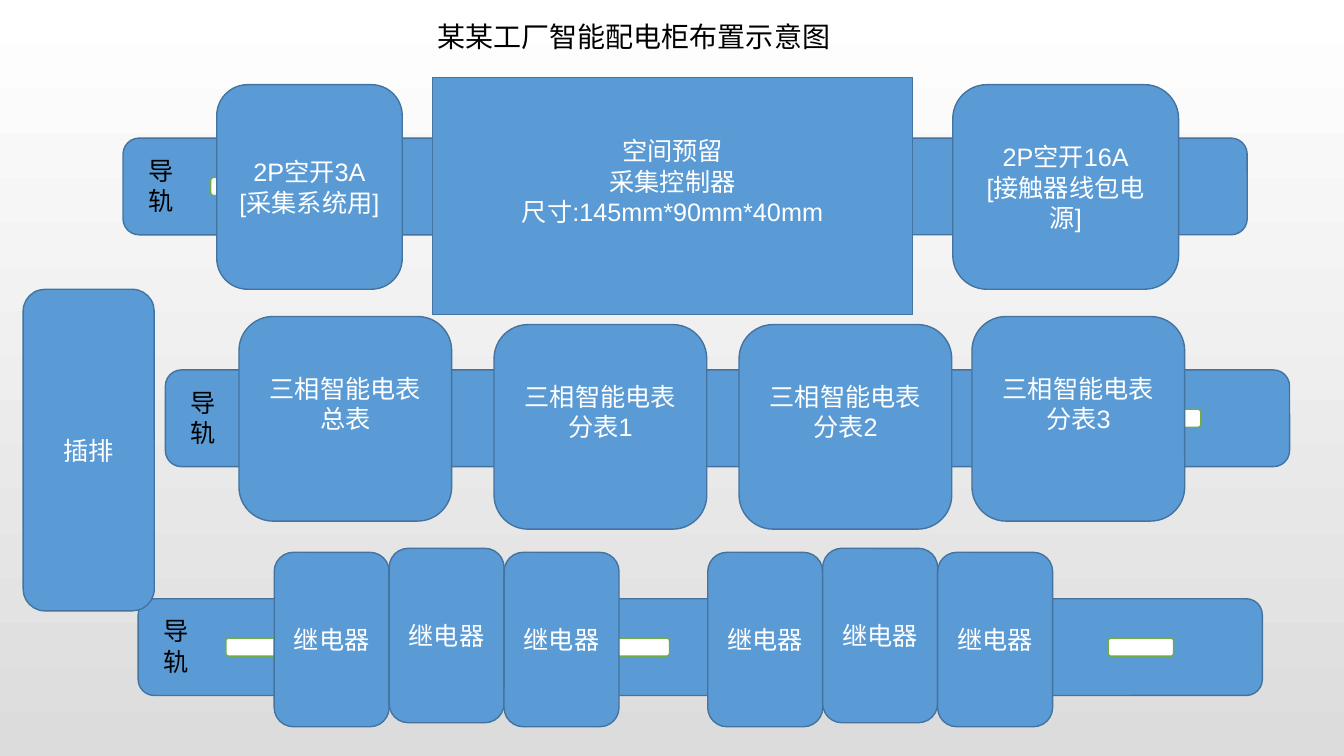
from pptx import Presentation
from pptx.dml.color import RGBColor
from pptx.enum.shapes import MSO_SHAPE
from pptx.enum.text import MSO_ANCHOR, PP_ALIGN
from pptx.util import Inches, Pt

ROUNDED, RECT = MSO_SHAPE.ROUNDED_RECTANGLE, MSO_SHAPE.RECTANGLE
MIDDLE, TOP = MSO_ANCHOR.MIDDLE, MSO_ANCHOR.TOP
CENTER, LEFT = PP_ALIGN.CENTER, PP_ALIGN.LEFT

THEME = {
    "font": "Arial", "title_size": 20, "body_size": 18,
    "ink": "000000", "light": "FFFFFF",
    "device": "5B9BD5", "device_line": "43739E",
    "slot": "FFFFFF", "slot_line": "70AD47",
    "background": ("FFFFFF", "DCDCDC"),
}

TITLE = ("某某工厂智能配电柜布置示意图", (4.24, 0.14, 7.63, 0.44))
RAIL_LABEL = "导轨"
RAILS = [
    {"left": 1.37, "top": 5.94, "slots": (0, 3, 7)},
    {"left": 1.22, "top": 1.37, "slots": (0,)},
    {"left": 1.64, "top": 3.67, "slots": (7,)},
]
OUTLET = (["插排"], (0.23, 2.87, 1.3, 3.19))
BREAKERS = [
    (["2P空开3A", "[采集系统用]"], (2.15, 0.84, 1.84, 2.03)),
    (["2P空开16A", "[接触器线包电源]"], (9.45, 0.84, 2.24, 2.03)),
]
CONTROLLER = (["空间预留", "采集控制器", "尺寸:145mm*90mm*40mm"], (4.29, 0.77, 4.76, 2.35))
METER = "三相智能电表"
METERS = [("总表", 2.37, 3.14), ("分表1", 4.9, 3.22), ("分表2", 7.33, 3.22), ("分表3", 9.64, 3.14)]
METER_SIZE = (2.11, 2.03)
RELAY = "继电器"
RELAY_BANKS = (2.72, 7.02)
RELAY_TOPS = (5.48, 5.44, 5.48)
RELAY_SIZE = (1.14, 1.73)

RAIL_SIZE = (11.15, 0.96)
SLOT_SIZE = (0.65, 0.18)
SLOT_START, SLOT_PITCH, SLOT_DROP = 0.87, 1.25, 0.39
LABEL_SHIFT, LABEL_SIZE = (0.15, 0.12), (0.58, 0.71)
RAISED_INSET = 0.35


def colour(key):
    return RGBColor.from_string(THEME[key])


def box(shapes, place, style, preset=ROUNDED):
    shape = shapes.add_shape(preset, *map(Inches, place))
    shape.shadow.inherit = False
    shape.fill.solid()
    shape.fill.fore_color.rgb = colour(style)
    shape.line.color.rgb = colour(style + "_line")
    shape.line.width = Pt(1)
    return shape


def write(shape, lines, ink, size, align, anchor):
    frame = shape.text_frame
    frame.word_wrap = True
    frame.vertical_anchor = anchor
    for index, line in enumerate(lines):
        paragraph = frame.add_paragraph() if index else frame.paragraphs[0]
        paragraph.alignment = align
        run = paragraph.add_run()
        run.text = line
        run.font.name = THEME["font"]
        run.font.size = Pt(THEME[size])
        run.font.color.rgb = colour(ink)


def label(shapes, text, place, size):
    write(shapes.add_textbox(*map(Inches, place)), [text], "ink", size, LEFT, TOP)


def device(shapes, lines, place, preset=ROUNDED, raised=False):
    shape = box(shapes, place, "device", preset)
    write(shape, lines, "light", "body_size", CENTER, MIDDLE)
    if raised:
        shape.text_frame.margin_bottom = Inches(RAISED_INSET)


def rail(shapes, left, top, slots):
    parts = shapes.add_group_shape().shapes
    box(parts, (left, top, *RAIL_SIZE), "device")
    for slot in slots:
        slot_left = left + SLOT_START + slot * SLOT_PITCH
        box(parts, (slot_left, top + SLOT_DROP, *SLOT_SIZE), "slot")
    label(parts, RAIL_LABEL, (left + LABEL_SHIFT[0], top + LABEL_SHIFT[1], *LABEL_SIZE), "body_size")


def main():
    deck = Presentation()
    deck.slide_width, deck.slide_height = Inches(13.33), Inches(7.5)
    slide = deck.slides.add_slide(deck.slide_layouts[6])
    backdrop = slide.background.fill
    backdrop.gradient()
    backdrop.gradient_angle = 270
    for stop, shade in zip(backdrop.gradient_stops, THEME["background"]):
        stop.color.rgb = RGBColor.from_string(shade)

    shapes = slide.shapes
    for layout in RAILS:
        rail(shapes, **layout)
    for lines, place in [OUTLET, *BREAKERS]:
        device(shapes, lines, place)
    device(shapes, *CONTROLLER, preset=RECT, raised=True)
    for bank_left in RELAY_BANKS:
        for index, top in enumerate(RELAY_TOPS):
            device(shapes, [RELAY], (bank_left + index * RELAY_SIZE[0], top, *RELAY_SIZE))
    for role, left, top in METERS:
        device(shapes, [METER, role], (left, top, *METER_SIZE), raised=True)
    label(shapes, *TITLE, "title_size")
    deck.save("out.pptx")


if __name__ == "__main__":
    main()
